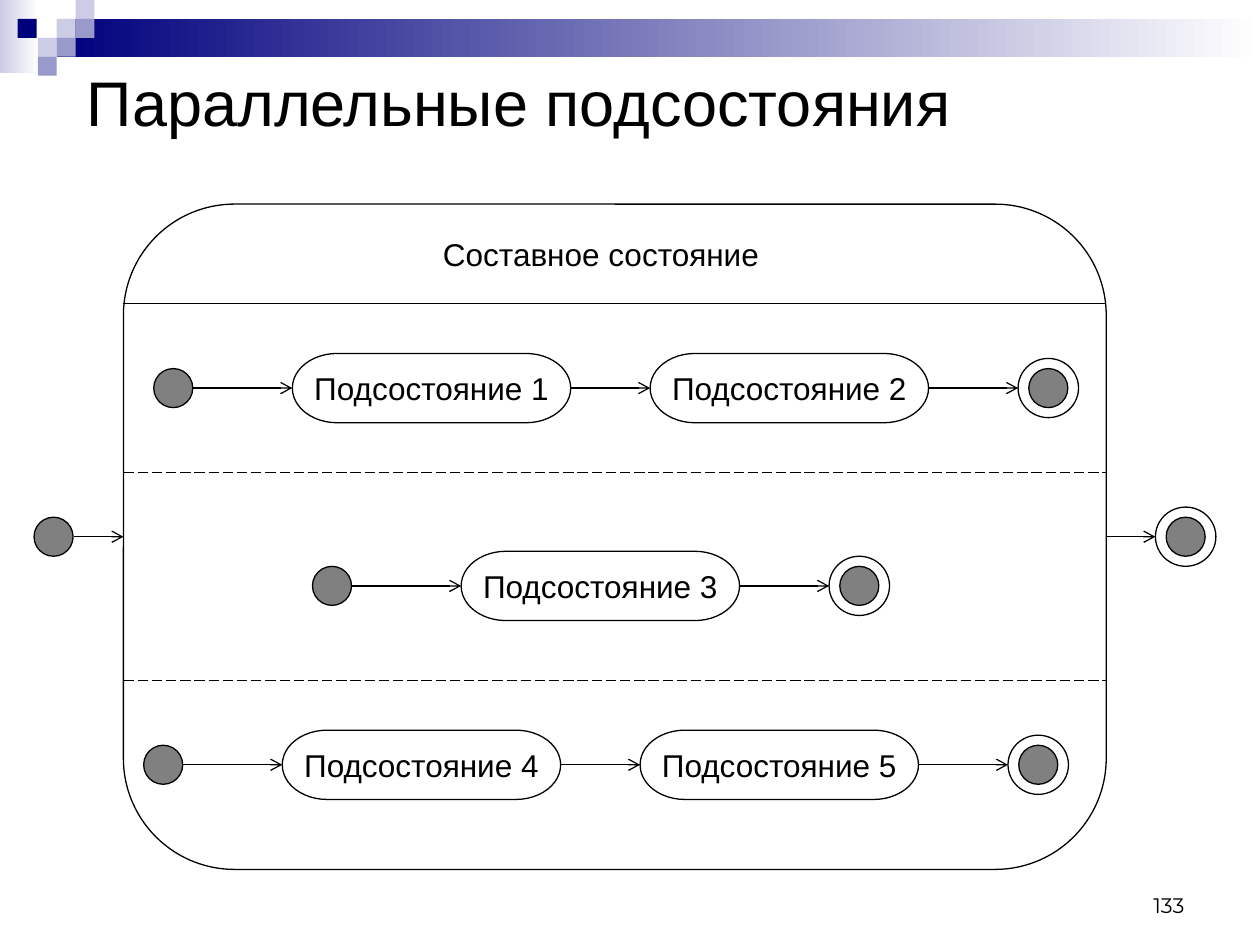
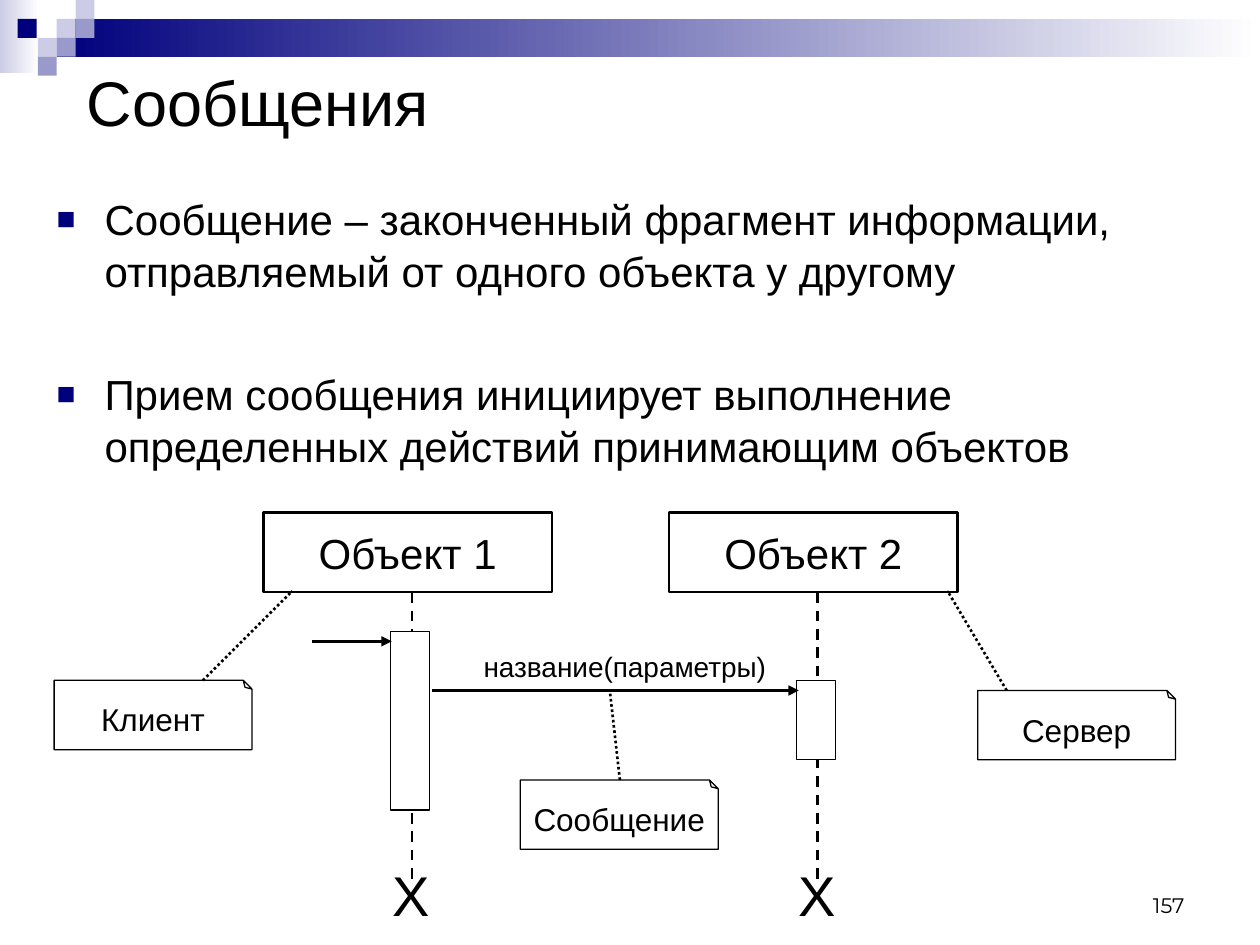
from lxml import etree
from pptx import Presentation
from pptx.dml.color import RGBColor
from pptx.enum.dml import MSO_LINE
from pptx.enum.shapes import MSO_CONNECTOR, MSO_SHAPE
from pptx.enum.text import MSO_ANCHOR, MSO_AUTO_SIZE, PP_ALIGN
from pptx.oxml.ns import qn
from pptx.util import Inches, Pt

RECT, OVAL = MSO_SHAPE.RECTANGLE, MSO_SHAPE.OVAL
ROUNDED, PILL = MSO_SHAPE.ROUNDED_RECTANGLE, MSO_SHAPE.FLOWCHART_TERMINATOR
NOTE = MSO_SHAPE.FOLDED_CORNER
LONG_DASH, DASH, DOTS = MSO_LINE.LONG_DASH, MSO_LINE.DASH, MSO_LINE.ROUND_DOT
LEFT, CENTER, RIGHT = PP_ALIGN.LEFT, PP_ALIGN.CENTER, PP_ALIGN.RIGHT
TOP, MIDDLE, BOTTOM = MSO_ANCHOR.TOP, MSO_ANCHOR.MIDDLE, MSO_ANCHOR.BOTTOM

BLACK = RGBColor(0x00, 0x00, 0x00)
WHITE = RGBColor(0xFF, 0xFF, 0xFF)
GRAY = RGBColor(0x80, 0x80, 0x80)
NAVY = RGBColor(0x00, 0x00, 0x7D)
LILAC = RGBColor(0x99, 0x99, 0xCC)
PALE = RGBColor(0xCC, 0xCC, 0xE6)

# Shared decoration
FADES = [((0, 0, 0.31, 0.58), PALE), ((0.45, 0.15, 9.55, 0.3), NAVY)]
TILE = 0.15
TILES = [(0.45, 0.15, PALE), (0.6, 0, PALE), (0.6, 0.15, LILAC),
         (0.3, 0.3, PALE), (0.14, 0.15, NAVY), (0.45, 0.3, LILAC),
         (0.3, 0.45, LILAC)]

# Slide 1: regions of the composite state
COMPOSITE = (0.98, 1.62, 7.8, 5.28)
COMPOSITE_NAME = "Составное состояние"
DIVIDERS = [(2.41, None), (3.75, LONG_DASH), (5.4, LONG_DASH)]
REGIONS = [  # left, middle, first arrow length, substates
    (1.22, 3.08, 0.79, ["Подсостояние 1", "Подсостояние 2"]),
    (2.48, 4.65, 0.87, ["Подсостояние 3"]),
    (1.14, 6.07, 0.79, ["Подсостояние 4", "Подсостояние 5"]),
]
DOT, RING_W, RING_H = 0.31, 0.48, 0.47
PILL_W, PILL_H, PILL_GAP, END_GAP = 2.21, 0.55, 0.63, 0.71
OUTER_MIDDLE, OUTER_START, OUTER_GAP = 4.26, 0.27, 0.39

# Slide 2: sequence diagram
BULLETS = [
    "Сообщение – законченный фрагмент информации, "
    "отправляемый от одного объекта у другому",
    "Прием сообщения инициирует выполнение "
    "определенных действий принимающим объектов",
]
OBJECTS = [  # name, left, activation top, activation height
    ("Объект 1", 2.09, 5.01, 1.42),
    ("Объект 2", 5.31, 5.4, 0.63),
]
NOTES = [  # text, left, top, line from the note, line to its subject
    ("Клиент", 0.43, 5.4, (1.61, 5.4), (2.32, 4.69)),
    ("Сообщение", 4.13, 6.19, (4.92, 6.19), (4.84, 5.48)),
    ("Сервер", 7.76, 5.48, (7.99, 5.48), (7.52, 4.69)),
]
CALLS = [((2.48, 5.09), (3.11, 5.09)), ((3.43, 5.48), (6.34, 5.48))]


def place(sp, box):
    for name, value in zip(("left", "top", "width", "height"), box):
        setattr(sp, name, Inches(value))


def format_frame(tf, anchor=MIDDLE, wrap=False):
    values = {"word_wrap": wrap, "vertical_anchor": anchor,
              "auto_size": MSO_AUTO_SIZE.NONE,
              "margin_left": Inches(0.1), "margin_right": Inches(0.1),
              "margin_top": Inches(0.05), "margin_bottom": Inches(0.05)}
    for name, value in values.items():
        setattr(tf, name, value)


def write(p, text, size, align=CENTER, font="Arial"):
    p.alignment = align
    r = p.add_run()
    r.text = text
    for name, value in {"name": font, "size": Pt(size)}.items():
        setattr(r.font, name, value)
    r.font.color.rgb = BLACK


def add_text(s, box, text, size, align=CENTER, anchor=MIDDLE, wrap=False,
             font="Arial"):
    tf = s.shapes.add_textbox(*map(Inches, box)).text_frame
    format_frame(tf, anchor, wrap)
    write(tf.paragraphs[0], text, size, align, font)


def add_box(s, kind, box, fill=None, width=0.75, text="", size=18):
    """Add a preset shape; a width of 0 means no outline."""
    sp = s.shapes.add_shape(kind, *map(Inches, box))
    sp.shadow.inherit = False
    if fill is None:
        sp.fill.background()
    else:
        sp.fill.solid()
        sp.fill.fore_color.rgb = fill
    if width:
        sp.line.color.rgb = BLACK
        sp.line.width = Pt(width)
    else:
        sp.line.fill.background()
    if text:
        format_frame(sp.text_frame)
        write(sp.text_frame.paragraphs[0], text, size)
    return sp


def add_line(s, start, end, width=0.75, dash=None, head=None):
    c = s.shapes.add_connector(MSO_CONNECTOR.STRAIGHT,
                               *map(Inches, (*start, *end)))
    c.line.color.rgb = BLACK
    c.line.width = Pt(width)
    if dash:
        c.line.dash_style = dash
    spPr = c._element.spPr
    if head:
        etree.SubElement(spPr.find(qn("a:ln")), qn("a:tailEnd"), type=head)
    etree.SubElement(spPr, qn("a:effectLst"))


def add_slide(prs, layout, title, number):
    s = prs.slides.add_slide(prs.slide_layouts[layout])
    for box, color in FADES:
        fill = add_box(s, RECT, box, WHITE, 0).fill
        fill.gradient()
        fill.gradient_angle = 0
        for stop, rgb in zip(fill.gradient_stops, (color, WHITE)):
            stop.color.rgb = rgb
    for x, y, color in TILES:
        add_box(s, RECT, (x, y, TILE, TILE), color, 0)
    sp = s.shapes.title
    place(sp, (0.59, 0.44, 9.14, 0.73))
    format_frame(sp.text_frame, wrap=True)
    write(sp.text_frame.paragraphs[0], title, 36, LEFT)
    add_text(s, (7.17, 6.83, 2.33, 0.5), number, 12, RIGHT, BOTTOM, True,
             "Montserrat")
    return s


def add_start(s, x, middle):
    add_box(s, OVAL, (x, middle - DOT / 2, DOT, DOT), GRAY)


def add_final(s, x, middle):
    add_box(s, OVAL, (x, middle - RING_H / 2, RING_W, RING_H))
    add_start(s, x + (RING_W - DOT) / 2, middle)


def add_step(s, x, middle, length):
    """Draw an arrow to the right and return where it ends."""
    add_line(s, (x, middle), (x + length, middle), head="arrow")
    return x + length


def add_region(s, x, middle, first_gap, substates):
    add_start(s, x, middle)
    x += DOT
    for i, name in enumerate(substates):
        x = add_step(s, x, middle, PILL_GAP if i else first_gap)
        add_box(s, PILL, (x, middle - PILL_H / 2, PILL_W, PILL_H), text=name)
        x += PILL_W
    add_final(s, add_step(s, x, middle, END_GAP), middle)


def build_substates(prs):
    s = add_slide(prs, 5, "Параллельные подсостояния", "133")
    left, _, width, _ = COMPOSITE
    right = left + width
    add_box(s, ROUNDED, COMPOSITE).adjustments[0] = 0.167
    add_text(s, (3.35, 1.86, 2.84, 0.31), COMPOSITE_NAME, 18)
    for y, dash in DIVIDERS:
        add_line(s, (left, y), (right, y), dash=dash)
    for region in REGIONS:
        add_region(s, *region)
    add_start(s, OUTER_START, OUTER_MIDDLE)
    add_step(s, left - OUTER_GAP, OUTER_MIDDLE, OUTER_GAP)
    add_final(s, add_step(s, right, OUTER_MIDDLE, OUTER_GAP), OUTER_MIDDLE)


def add_bullets(sp):
    place(sp, (0.35, 1.47, 9.29, 5.5))
    tf = sp.text_frame
    format_frame(tf, TOP, True)
    for i, text in enumerate(BULLETS):
        p = tf.add_paragraph() if i else tf.paragraphs[0]
        p.line_spacing = 1.04
        p.space_before = Pt(40 if i else 0)
        pPr = p._p.get_or_add_pPr()
        pPr.set("marL", str(Inches(0.38)))
        pPr.set("indent", str(Inches(-0.38)))
        color = etree.SubElement(pPr, qn("a:buClr"))
        etree.SubElement(color, qn("a:srgbClr"), val=str(NAVY))
        etree.SubElement(pPr, qn("a:buSzPct"), val="75000")
        etree.SubElement(pPr, qn("a:buFont"), typeface="Arial")
        etree.SubElement(pPr, qn("a:buChar"), char="■")
        write(p, text, 24, LEFT)


def add_note(s, text, x, y):
    """Add a note with its folded corner at the top and its text upright."""
    sp = add_box(s, NOTE, (x, y, 1.57, 0.55), text=text)
    spPr = sp._element.spPr
    guides = spPr.find(qn("a:prstGeom")).get_or_add_avLst()
    etree.SubElement(guides, qn("a:gd"), name="adj", fmla="val 12500")
    spPr.find(qn("a:xfrm")).set("flipV", "1")
    sp.text_frame._txBody.find(qn("a:bodyPr")).set("rot", "10800000")


def build_messages(prs):
    s = add_slide(prs, 1, "Сообщения", "157")
    add_bullets(s.placeholders[1])
    for name, x, top, height in OBJECTS:
        add_box(s, RECT, (x, 4.07, 2.29, 0.63), None, 1.5, name, 24)
        add_line(s, (x + 1.18, 4.7), (x + 1.18, 6.98), 1.5, DASH)
        add_box(s, RECT, (x + 1.01, top, 0.31, height), WHITE)
        add_text(s, (x + 0.98, 6.9, 0.39, 0.39), "X", 32)
    for start, end in CALLS:
        add_line(s, start, end, 1.5, head="triangle")
    add_text(s, (3.66, 5.09, 2.6, 0.39), "название(параметры)", 16)
    for text, x, y, start, end in NOTES:
        add_note(s, text, x, y)
        add_line(s, start, end, 1.5, DOTS)


def main():
    prs = Presentation()
    prs.slide_width, prs.slide_height = Inches(10), Inches(7.5)
    build_substates(prs)
    build_messages(prs)
    prs.save("out.pptx")


if __name__ == "__main__":
    main()
